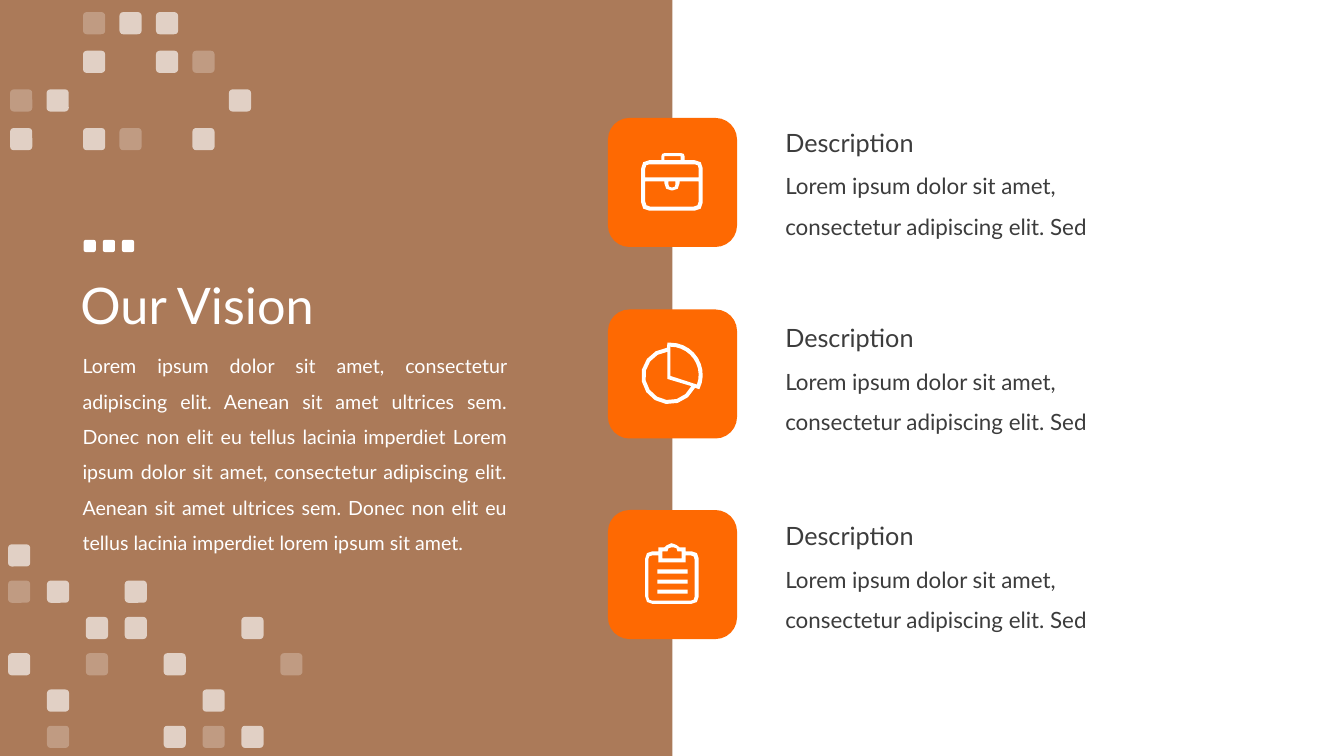
import math
from dataclasses import dataclass

from lxml import etree
from pptx import Presentation
from pptx import util as u
from pptx.dml import color, fill
from pptx.enum import shapes, text
from pptx.oxml import ns
from pptx.shapes import autoshape, shapetree
from pptx.slide import Slide

BROWN, ORANGE, WHITE, CHARCOAL = "7F3401", "FE6902", "FFFFFF", "3C3C3C"
FONT = "Lato"
ROUNDED = shapes.MSO_SHAPE.ROUNDED_RECTANGLE
SQUARE_OPACITY = {"O": 65, "o": 25}
ARC_STEPS = 10
Point = tuple[float, float]
Contour = list[Point]

VISION = (
    "Lorem ipsum dolor sit amet, consectetur adipiscing elit. Aenean sit amet "
    "ultrices sem. Donec non elit eu tellus lacinia imperdiet Lorem ipsum dolor "
    "sit amet, consectetur adipiscing elit. Aenean sit amet ultrices sem. Donec "
    "non elit eu tellus lacinia imperdiet lorem ipsum sit amet."
)
SUMMARY = "Lorem ipsum dolor sit amet, consectetur adipiscing elit. Sed"


@dataclass
class Mosaic:
    left: float
    top: float
    width: float
    height: float
    rows: list[str]


@dataclass
class Feature:
    tile_top: float
    heading_top: float
    icon: list[Contour]


@dataclass
class Copy:
    wording: str
    size: int
    hex_color: str
    spacing: float = 1.0
    align: text.PP_ALIGN = text.PP_ALIGN.LEFT
    anchor: text.MSO_ANCHOR = text.MSO_ANCHOR.TOP
    grows: bool = True


def rounded(*corners: tuple[float, float, float]) -> Contour:
    points: Contour = []
    for i, (x, y, radius) in enumerate(corners):
        if radius == 0:
            points.append((x, y))
            continue
        ends = []
        for nx, ny, _ in (corners[i - 1], corners[(i + 1) % len(corners)]):
            reach = radius / math.hypot(nx - x, ny - y)
            ends.append((x + (nx - x) * reach, y + (ny - y) * reach))
        (ax, ay), (bx, by) = ends
        points += [(ax, ay), ((ax + 2 * x + bx) / 4, (ay + 2 * y + by) / 4), (bx, by)]
    return points


def bar(left: float, top: float, right: float, bottom: float) -> Contour:
    return [(left, top), (right, top), (right, bottom), (left, bottom)]


def arc(cx: float, cy: float, radius: float, start: float, end: float) -> Contour:
    angles = [math.radians(start + (end - start) * i / ARC_STEPS)
              for i in range(ARC_STEPS + 1)]
    return [(cx + radius * math.cos(a), cy + radius * math.sin(a)) for a in angles]


BRIEFCASE = [
    rounded((6.36, 1.59, 0.08), (6.56, 1.59, 0), (6.56, 1.52, 0.03), (6.79, 1.52, 0.03),
            (6.79, 1.59, 0), (6.97, 1.59, 0.08), (6.97, 2.09, 0.08), (6.36, 2.09, 0.08)),
    bar(6.59, 1.55, 6.75, 1.59),
    rounded((6.4, 1.76, 0), (6.4, 1.63, 0.04), (6.93, 1.63, 0.04), (6.93, 1.76, 0)),
    rounded((6.4, 1.8, 0), (6.59, 1.8, 0), (6.59, 1.89, 0.07), (6.74, 1.89, 0.07),
            (6.74, 1.8, 0), (6.93, 1.8, 0), (6.93, 2.05, 0.05), (6.4, 2.05, 0.05)),
    rounded((6.63, 1.8, 0), (6.7, 1.8, 0), (6.7, 1.86, 0.03), (6.63, 1.86, 0.03)),
]
PIE = [
    [(6.62, 3.4), *arc(6.64, 3.73, 0.28, 265, 25), (6.93, 3.86),
     *arc(6.65, 3.72, 0.32, 26, -90)],
    [*arc(6.64, 3.73, 0.24, 265, 25), (6.62, 3.76)],
    [(6.65, 3.73), *arc(6.65, 3.72, 0.28, -90, 20)],
]
CLIPBOARD = [
    rounded((6.4, 5.47, 0.07), (6.53, 5.47, 0), (6.53, 5.43, 0), (6.59, 5.43, 0),
            (6.66, 5.37, 0.06), (6.74, 5.43, 0), (6.8, 5.43, 0),
            (6.8, 5.47, 0), (6.93, 5.47, 0.07), (6.93, 5.99, 0.07), (6.4, 5.99, 0.07)),
    rounded((6.57, 5.47, 0), (6.62, 5.47, 0), (6.62, 5.43, 0.04), (6.72, 5.43, 0.04),
            (6.72, 5.47, 0), (6.76, 5.47, 0), (6.76, 5.54, 0), (6.57, 5.54, 0)),
    rounded((6.43, 5.51, 0.04), (6.53, 5.51, 0), (6.53, 5.58, 0), (6.8, 5.58, 0),
            (6.8, 5.51, 0), (6.89, 5.51, 0.04), (6.89, 5.96, 0.04), (6.43, 5.96, 0.04)),
    *[bar(6.52, top, 6.82, top + 0.04) for top in (5.65, 5.75, 5.85)],
]
FEATURES = [
    Feature(1.17, 1.21, BRIEFCASE),
    Feature(3.07, 3.15, PIE),
    Feature(5.06, 5.11, CLIPBOARD),
]
MOSAICS = [
    Mosaic(0.08, 5.4, 2.7, 1.8, ["O.......", "oO.O....", "..OO..O.",
                                 "O.o.O..o", ".O...O..", ".o..OoO."]),
    Mosaic(0.1, 0.12, 2.17, 1.15, ["..oOO..", "..O.Oo.", "oO....O", "O.Oo.O."]),
]


def paint(target: fill.FillFormat, hex_color: str, opacity: int = 100) -> None:
    target.solid()
    target.fore_color.rgb = color.RGBColor.from_string(hex_color)
    if opacity < 100:
        swatch = target._xPr.find(".//" + ns.qn("a:srgbClr"))
        etree.SubElement(swatch, ns.qn("a:alpha"), val=str(opacity * 1000))


def finish(shape: autoshape.Shape, hex_color: str, opacity: int = 100) -> None:
    shape.shadow.inherit = False
    shape.line.fill.background()
    paint(shape.fill, hex_color, opacity)


def add_block(holder: shapetree._BaseGroupShapes, kind: shapes.MSO_SHAPE, left: float, top: float,
              width: float, height: float, hex_color: str, opacity: int = 100) -> None:
    block = holder.add_shape(kind, u.Inches(left), u.Inches(top),
                             u.Inches(width), u.Inches(height))
    finish(block, hex_color, opacity)


def add_copy(page: Slide, left: float, top: float, width: float, height: float,
             copy: Copy) -> None:
    box = page.shapes.add_textbox(u.Inches(left), u.Inches(top),
                                  u.Inches(width), u.Inches(height))
    frame = box.text_frame
    frame.text = copy.wording
    frame.word_wrap = True
    frame.vertical_anchor = copy.anchor
    if copy.grows:
        frame.auto_size = text.MSO_AUTO_SIZE.SHAPE_TO_FIT_TEXT
    para = frame.paragraphs[0]
    para.alignment = copy.align
    para.line_spacing = copy.spacing
    span = para.runs[0]
    span.font.name = FONT
    span.font.size = u.Pt(copy.size)
    paint(span.font.fill, copy.hex_color)


def add_icon(page: Slide, contours: list[Contour]) -> None:
    first, *others = [[(u.Inches(x), u.Inches(y)) for x, y in contour]
                      for contour in contours]
    builder = page.shapes.build_freeform(*first[0])
    builder.add_line_segments(first[1:], close=True)
    for outline in others:
        builder.move_to(*outline[0])
        builder.add_line_segments(outline[1:], close=True)
    finish(builder.convert_to_shape(), WHITE)


def add_mosaic(page: Slide, mosaic: Mosaic) -> None:
    group = page.shapes.add_group_shape()
    column_step = mosaic.width / (len(mosaic.rows[0]) - 1)
    row_step = mosaic.height / (len(mosaic.rows) - 1)
    for row, marks in enumerate(mosaic.rows):
        for column, mark in enumerate(marks):
            if mark in SQUARE_OPACITY:
                add_block(group.shapes, ROUNDED, mosaic.left + column * column_step,
                          mosaic.top + row * row_step, 0.22, 0.22, WHITE,
                          SQUARE_OPACITY[mark])


def main() -> None:
    deck = Presentation()
    deck.slide_width, deck.slide_height = u.Inches(13.33), u.Inches(7.5)
    page = deck.slides.add_slide(deck.slide_layouts[6])
    add_block(page.shapes, shapes.MSO_SHAPE.RECTANGLE, 0, 0, 6.67, 7.5, BROWN, 65)
    add_copy(page, 0.7, 2.22, 11.5, 1.67,
             Copy("Our Vision", 36, WHITE, 0.9, anchor=text.MSO_ANCHOR.MIDDLE, grows=False))
    add_copy(page, 0.72, 3.35, 4.41, 2.17,
             Copy(VISION, 14, WHITE, 1.5, text.PP_ALIGN.JUSTIFY))
    for feature in FEATURES:
        add_block(page.shapes, ROUNDED, 6.03, feature.tile_top, 1.28, 1.28, ORANGE)
    for feature in FEATURES:
        add_copy(page, 7.69, feature.heading_top + 0.32, 3.98, 0.86,
                 Copy(SUMMARY, 16, CHARCOAL, 1.5))
        add_copy(page, 7.69, feature.heading_top, 2.35, 0.4,
                 Copy("Description", 18, CHARCOAL))
    dots = page.shapes.add_group_shape()
    for i in range(3):
        add_block(dots.shapes, ROUNDED, 0.83 + i * 0.19, 2.38, 0.12, 0.12, WHITE)
    for mosaic in MOSAICS:
        add_mosaic(page, mosaic)
    for feature in FEATURES:
        add_icon(page, feature.icon)
    deck.save("out.pptx")


if __name__ == "__main__":
    main()
